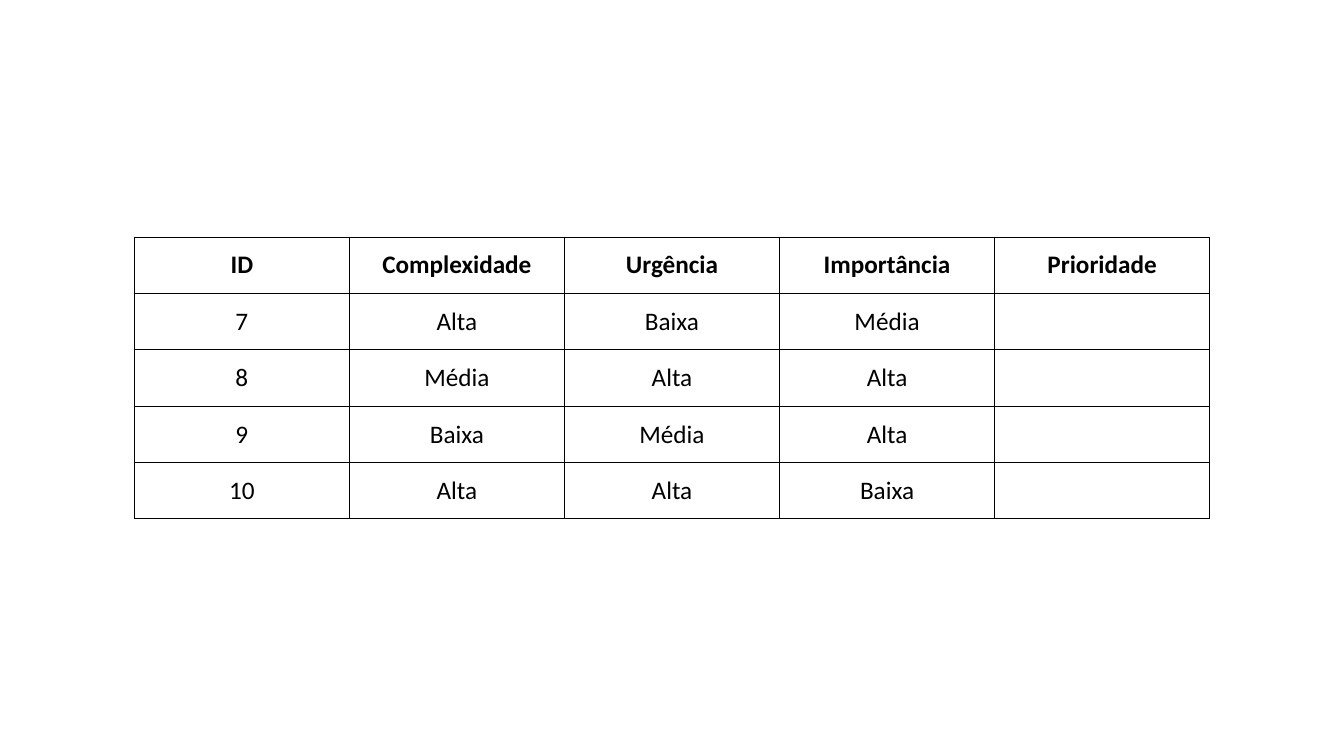
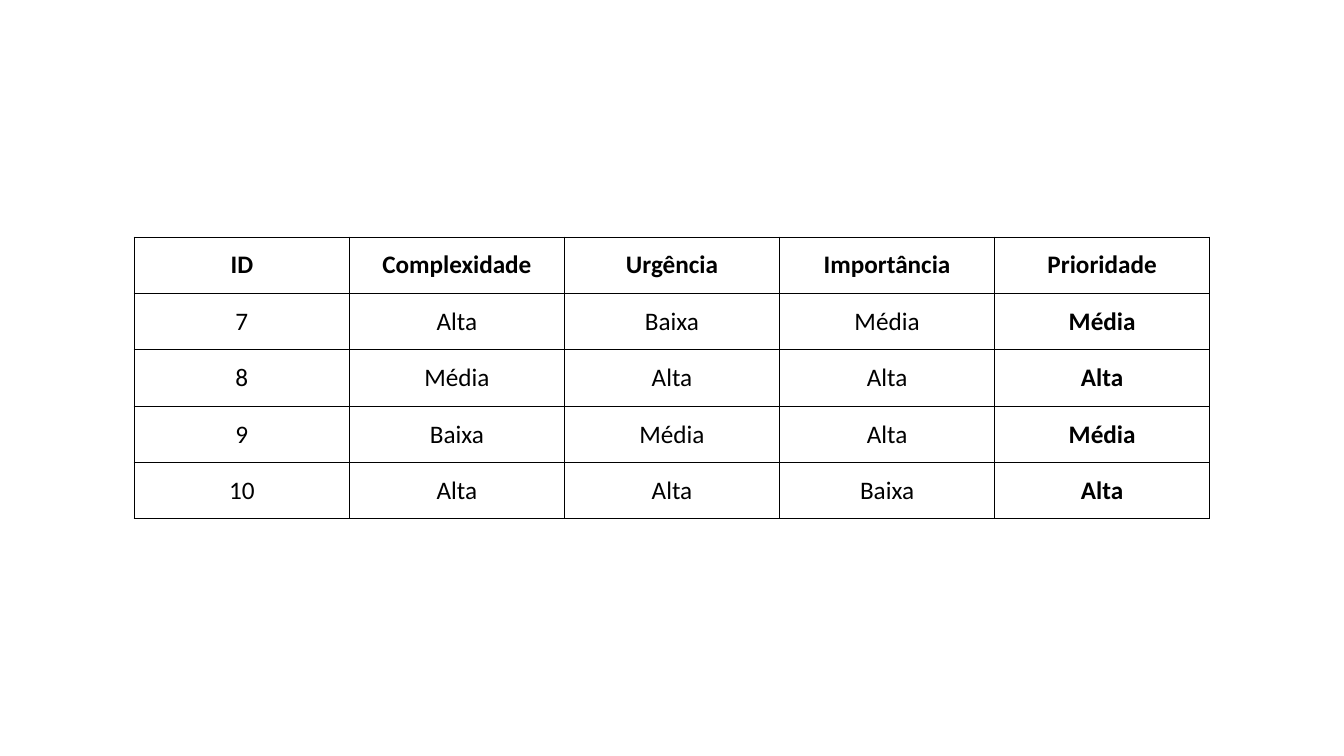
from dataclasses import dataclass

from lxml import etree
from pptx import Presentation
from pptx.dml.color import RGBColor
from pptx.enum.text import MSO_ANCHOR, PP_ALIGN
from pptx.oxml.ns import qn
from pptx.slide import Slide
from pptx.table import _Cell
from pptx.util import Cm, Pt

MIDDLE = MSO_ANCHOR.MIDDLE
CENTER = PP_ALIGN.CENTER
BLACK = RGBColor(0x00, 0x00, 0x00)
FONT = "Calibri"
WIDE, HIGH = Cm(33.87), Cm(19.05)
COL, ROW = Cm(5.42), Cm(1.42)
LINE = Pt(1)
SIDES = ("a:lnL", "a:lnR", "a:lnT", "a:lnB")
HEADS = ("ID", "Complexidade", "Urgência", "Importância", "Prioridade")


@dataclass(frozen=True)
class Task:
    code: str
    effort: str
    haste: str
    weight: str
    rank: str

    def texts(self, solved: bool) -> tuple[str, ...]:
        rank = self.rank if solved else ""
        return self.code, self.effort, self.haste, self.weight, rank


TASKS = (
    Task("7", "Alta", "Baixa", "Média", "Média"),
    Task("8", "Média", "Alta", "Alta", "Alta"),
    Task("9", "Baixa", "Média", "Alta", "Média"),
    Task("10", "Alta", "Alta", "Baixa", "Alta"),
)


def frame(cell: _Cell) -> None:
    props = cell._tc.get_or_add_tcPr()
    for side in SIDES:
        line = etree.SubElement(props, qn(side), w=str(LINE))
        fill = etree.SubElement(line, qn("a:solidFill"))
        etree.SubElement(fill, qn("a:srgbClr"), val=str(BLACK))
    cell.fill.background()


def write(cell: _Cell, text: str, *, bold: bool = False, size: int = 18) -> None:
    cell.vertical_anchor = MIDDLE
    para = cell.text_frame.paragraphs[0]
    para.alignment = CENTER
    if not text:
        return
    run = para.add_run()
    run.text = text
    run.font.name = FONT
    run.font.size = Pt(size)
    run.font.bold = bold
    run.font.color.rgb = BLACK


def draw(slide: Slide, solved: bool) -> None:
    rows = [HEADS, *(task.texts(solved) for task in TASKS)]
    width, height = COL * len(HEADS), ROW * len(rows)
    left, top = (WIDE - width) // 2, (HIGH - height) // 2
    table = slide.shapes.add_table(
        len(rows), len(HEADS), left, top, width, height
    ).table
    table.first_row = False
    table.horz_banding = False
    for col in table.columns:
        col.width = COL
    last = len(HEADS) - 1
    for r, texts in enumerate(rows):
        table.rows[r].height = ROW
        for c, text in enumerate(texts):
            cell = table.cell(r, c)
            frame(cell)
            write(cell, text, bold=r == 0 or c == last)


def main() -> None:
    deck = Presentation()
    deck.slide_width, deck.slide_height = WIDE, HIGH
    blank = deck.slide_layouts[6]
    for solved in (False, True):
        draw(deck.slides.add_slide(blank), solved)
    deck.save("out.pptx")


if __name__ == "__main__":
    main()
